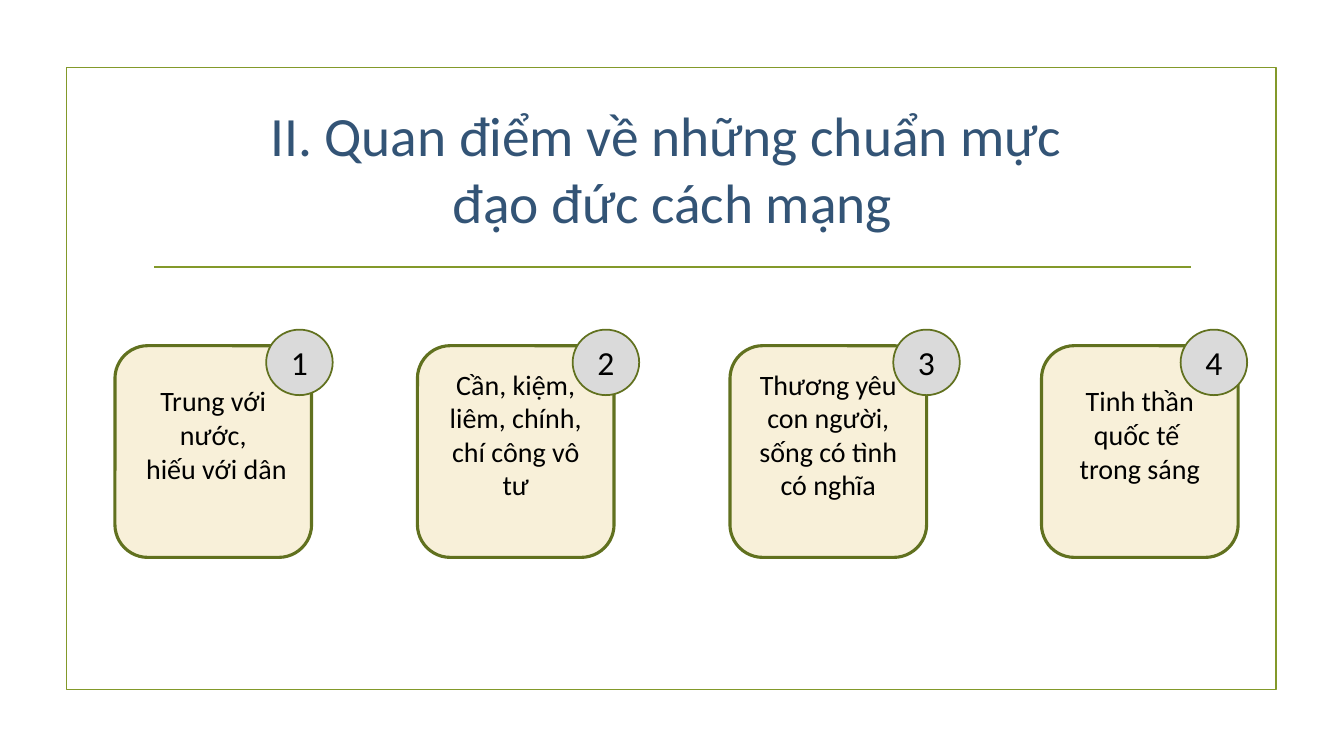
from lxml.etree import SubElement
from pptx import Presentation
from pptx.dml.color import RGBColor
from pptx.enum.shapes import MSO_CONNECTOR, MSO_SHAPE
from pptx.enum.text import MSO_ANCHOR, PP_ALIGN
from pptx.oxml.ns import qn
from pptx.util import Inches, Pt

GREEN = RGBColor(0x83, 0x99, 0x2A)
OLIVE = RGBColor(0x61, 0x71, 0x1F)
CREAM = RGBColor(0xF8, 0xF0, 0xD9)
GRAY = RGBColor(0xDA, 0xDA, 0xDA)
NAVY = RGBColor(0x33, 0x54, 0x76)
BLACK = RGBColor(0, 0, 0)

TITLE = "II. Quan điểm về những chuẩn mực \nđạo đức cách mạng"
CARDS = [
    (1.14, 1.5, ["Trung với nước,", " hiếu với dân"]),
    (4.14, 1.54, ["Cần, kiệm, liêm, chính, chí công vô tư"]),
    (7.24, 1.62, ["Thương yêu con người, sống có tình có nghĩa"]),
    (10.33, 1.38, ["Tinh thần quốc tế ", "trong sáng"]),
]


def write(shape, lines, size, color):
    frame = shape.text_frame
    frame.word_wrap = True
    frame.vertical_anchor = MSO_ANCHOR.MIDDLE
    for i, line in enumerate(lines):
        para = frame.add_paragraph() if i else frame.paragraphs[0]
        para.text = line
        para.alignment = PP_ALIGN.CENTER
        para.font.name = "Calibri"
        para.font.size = Pt(size)
        para.font.color.rgb = color


def add_box(slide, kind, box, fill, line, width):
    shape = slide.shapes.add_shape(kind, *map(Inches, box))
    shape.shadow.inherit = False
    if fill is None:
        shape.fill.background()
    else:
        shape.fill.solid()
        shape.fill.fore_color.rgb = fill
    shape.line.color.rgb = line
    shape.line.width = Pt(width)
    return shape


def add_frame(slide, left, top, width, height):
    add_box(slide, MSO_SHAPE.RECTANGLE, (left, top, width, height), None, GREEN, 1.25)
    inset = 0.87
    y = Inches(top + 1.98)
    rule = slide.shapes.add_connector(
        MSO_CONNECTOR.STRAIGHT,
        Inches(left + inset), y, Inches(left + width - inset + 0.02), y)
    rule.line.color.rgb = GREEN
    rule.line.width = Pt(1.25)
    SubElement(rule.element.spPr, qn("a:effectLst"))


def add_title(slide, left, top, width, height):
    box = slide.shapes.add_textbox(*map(Inches, (left, top, width, height)))
    write(box, [TITLE], 39.6, NAVY)


def add_card(slide, left, top, width, height, shift, number, lines):
    card = add_box(slide, MSO_SHAPE.ROUNDED_RECTANGLE,
                   (left, top, width, height), CREAM, OLIVE, 2.25)
    card.text_frame.margin_bottom = Inches(0.39)
    write(card, lines, 20, BLACK)
    badge = add_box(slide, MSO_SHAPE.OVAL,
                    (left + shift, top - 0.16, 0.66, 0.65), GRAY, OLIVE, 1.25)
    write(badge, [str(number)], 24, BLACK)


def main():
    deck = Presentation()
    deck.slide_width = Inches(13.33)
    deck.slide_height = Inches(7.5)
    slide = deck.slides.add_slide(deck.slide_layouts[6])
    add_frame(slide, 0.66, 0.67, 12, 6.17)
    add_title(slide, 1.42, 0.95, 10.5, 1.43)
    for number, (left, shift, lines) in enumerate(CARDS, 1):
        add_card(slide, left, 3.43, 1.95, 2.1, shift, number, lines)
    deck.save("out.pptx")


if __name__ == "__main__":
    main()
